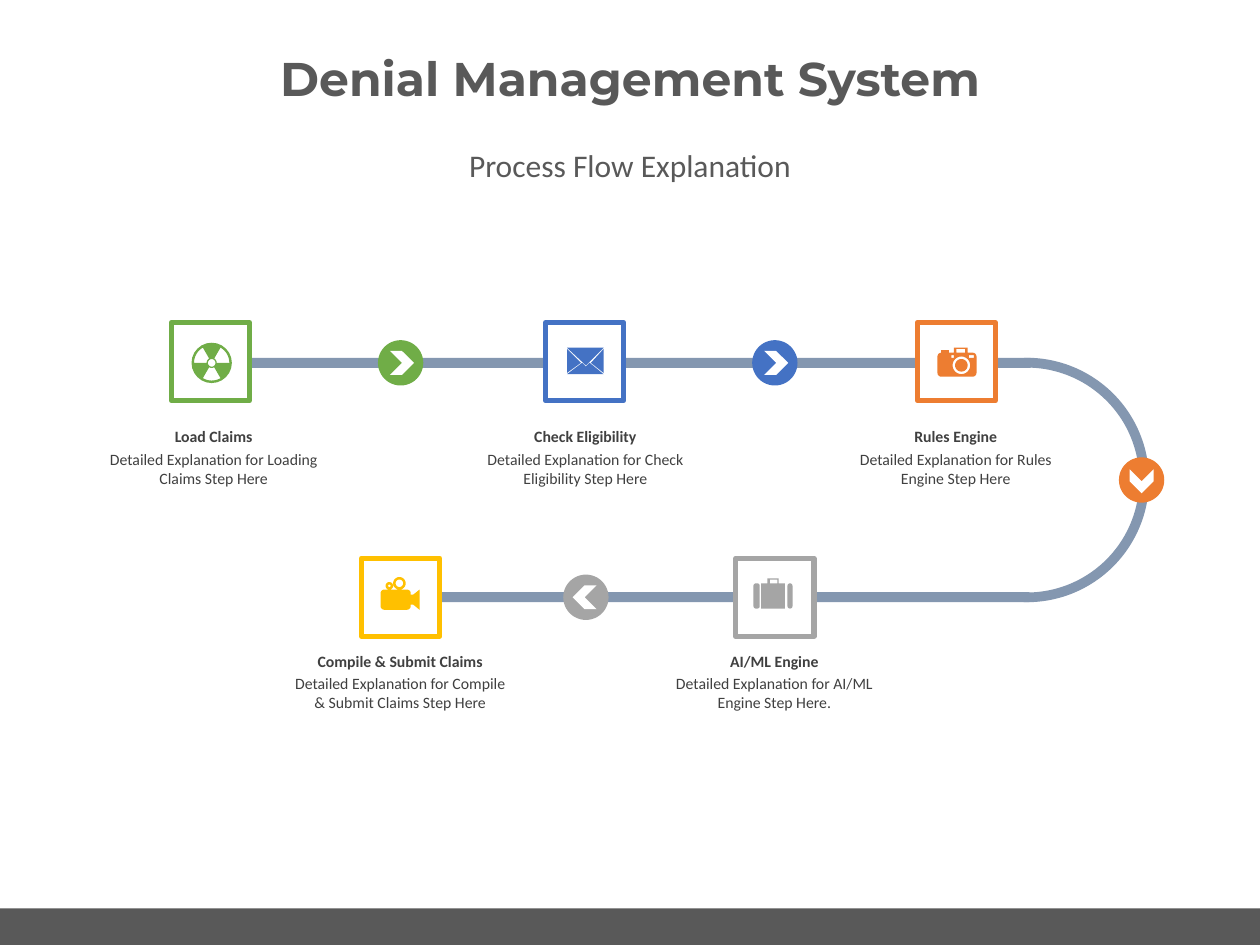
from math import cos, radians, sin

from pptx import Presentation
from pptx.dml.color import RGBColor
from pptx.enum import shapes, text
from pptx.util import Inches, Pt

WHITE = RGBColor(0xFF, 0xFF, 0xFF)
DARK = RGBColor(0x59, 0x59, 0x59)
INK = RGBColor(0x40, 0x40, 0x40)
TRACK = RGBColor(0x84, 0x97, 0xB0)
GREEN = RGBColor(0x70, 0xAD, 0x47)
BLUE = RGBColor(0x44, 0x72, 0xC4)
ORANGE = RGBColor(0xED, 0x7D, 0x31)
YELLOW = RGBColor(0xFF, 0xC0, 0x00)
GRAY = RGBColor(0xA5, 0xA5, 0xA5)
KIND = shapes.MSO_SHAPE


# Icon outlines, as lists of points in inches
def arc(cx, cy, r, start=0, end=360, steps=24):
    angles = [radians(start + (end - start) * i / steps) for i in range(steps + 1)]
    return [(cx + r * cos(a), cy + r * sin(a)) for a in angles]


def box(x, y, w, h, r=0):
    if not r:
        return [(x, y), (x + w, y), (x + w, y + h), (x, y + h)]
    corners = [(x + w - r, y + h - r), (x + r, y + h - r), (x + r, y + r), (x + w - r, y + r)]
    return [pt for i, (cx, cy) in enumerate(corners)
            for pt in arc(cx, cy, r, 90 * i, 90 * i + 90, 6)]


def sector(cx, cy, inner, outer, start):
    return arc(cx, cy, outer, start, start + 60) + arc(cx, cy, inner, start + 60, start)


class Slide:
    font = "Calibri"

    def __init__(self, prs):
        self.s = prs.slides.add_slide(prs.slide_layouts[2])

    def paint(self, sp, fill, line=None):
        sp.shadow.inherit = False
        sp.fill.solid()
        sp.fill.fore_color.rgb = fill
        if line is None:
            sp.line.fill.background()
        else:
            sp.line.color.rgb = line
            sp.line.width = Pt(3)

    def shape(self, kind, x, y, w, h, fill, line=None, rotation=0):
        sp = self.s.shapes.add_shape(kind, Inches(x), Inches(y), Inches(w), Inches(h))
        sp.rotation = rotation
        self.paint(sp, fill, line)
        return sp

    def put_text(self, sp, words, anchor=text.MSO_ANCHOR.TOP, color=INK, **fmt):
        tf = sp.text_frame
        for name, value in dict(word_wrap=True, auto_size=text.MSO_AUTO_SIZE.NONE,
                                vertical_anchor=anchor).items():
            setattr(tf, name, value)
        p = tf.paragraphs[0]
        p.alignment = text.PP_ALIGN.CENTER
        r = p.add_run()
        r.text = words
        for name, value in {"name": self.font, "bold": False, **fmt}.items():
            setattr(r.font, name, value)
        r.font.color.rgb = color
        return p

    def heading(self, idx, y, h, words, **fmt):
        sp = self.s.placeholders[idx]
        sp.left, sp.top, sp.width, sp.height = Inches(0), Inches(y), Inches(10), Inches(h)
        p = self.put_text(sp, words, text.MSO_ANCHOR.MIDDLE, DARK, **fmt)
        p.line_spacing = 0.9
        # The layout sets titles in capitals
        p.runs[0]._r.get_or_add_rPr().set("cap", "none")
        return p

    def label(self, x, y, h, words, **fmt):
        sp = self.s.shapes.add_textbox(Inches(x), Inches(y), Inches(1.95), Inches(h))
        self.put_text(sp, words, size=Pt(9), **fmt)

    def step(self, x, y, color, label_x, label_y, name, detail):
        self.shape(KIND.RECTANGLE, x, y, 0.62, 0.62, WHITE, color)
        self.label(label_x, label_y + 0.18, 0.4, detail)
        self.label(label_x, label_y, 0.25, name, bold=True)

    def badge(self, cx, cy, color, angle):
        self.shape(KIND.OVAL, cx - 0.18, cy - 0.18, 0.36, 0.36, color, rotation=angle)
        cx += 0.01 * cos(radians(angle))
        cy += 0.01 * sin(radians(angle))
        self.shape(KIND.CHEVRON, cx - 0.095, cy - 0.095, 0.19, 0.19, WHITE, rotation=angle)

    def icon(self, color, *outlines):
        outlines = [[(Inches(x), Inches(y)) for x, y in pts] for pts in outlines]
        builder = self.s.shapes.build_freeform(*outlines[0][0])
        for i, pts in enumerate(outlines):
            if i:
                builder.move_to(*pts[0])
            builder.add_line_segments(pts[1:], close=True)
        self.paint(builder.convert_to_shape(), color)


prs = Presentation()
prs.slide_width, prs.slide_height = Inches(10), Inches(7.5)
s = Slide(prs)

# Footer band and headings
s.shape(KIND.RECTANGLE, 0, 7.21, 10, 0.29, DARK)
s.heading(0, 0.22, 0.85, "Denial Management System", name="Montserrat", size=Pt(27), bold=True)
s.heading(1, 1.1, 0.46, "Process Flow Explanation", size=Pt(18)).space_before = Pt(7.5)

# Track
bend = s.shape(KIND.BLOCK_ARC, 7.18, 2.84, 1.94, 1.94, TRACK)
for i, value in enumerate((161.27, 54.9, 0.04)):
    bend.adjustments[i] = value
s.shape(KIND.RECTANGLE, 1.98, 2.84, 6.2, 0.08, TRACK)
s.shape(KIND.RECTANGLE, 3.48, 4.7, 4.69, 0.08, TRACK)

# Steps
TOP, BOTTOM = (2.56, 3.34), (4.43, 5.12)
for x, (y, label_y), color, label_x, name, detail in (
        (1.36, TOP, GREEN, 0.72, "Load Claims",
         "Detailed Explanation for Loading Claims Step Here"),
        (4.33, TOP, BLUE, 3.67, "Check Eligibility",
         "Detailed Explanation for Check Eligibility Step Here"),
        (7.28, TOP, ORANGE, 6.61, "Rules Engine",
         "Detailed Explanation for Rules Engine Step Here"),
        (2.87, BOTTOM, YELLOW, 2.2, "Compile & Submit Claims",
         "Detailed Explanation for Compile & Submit Claims Step Here"),
        (5.84, BOTTOM, GRAY, 5.17, "AI/ML Engine",
         "Detailed Explanation for AI/ML Engine Step Here.")):
    s.step(x, y, color, label_x, label_y, name, detail)

# Direction badges
for badge in ((3.18, 2.88, GREEN, 0), (6.15, 2.88, BLUE, 0),
              (4.65, 4.74, GRAY, 180), (9.06, 3.81, ORANGE, 90)):
    s.badge(*badge)

# Envelope
s.icon(BLUE,
       [(4.68, 2.88), (4.79, 2.97), (4.5, 2.97), (4.62, 2.88), (4.65, 2.91)],
       [(4.79, 2.77), (4.79, 2.96), (4.69, 2.88)],
       [(4.5, 2.77), (4.61, 2.88), (4.5, 2.96)],
       [(4.5, 2.76), (4.79, 2.76), (4.65, 2.9)])
# Radiation sign
s.icon(GREEN, arc(1.68, 2.88, 0.16), arc(1.68, 2.88, 0.03),
       *[sector(1.68, 2.88, 0.04, 0.14, start) for start in (60, 180, 300)])
# Camera
s.icon(ORANGE, box(7.44, 2.8, 0.31, 0.19, 0.03), box(7.47, 2.78, 0.06, 0.02),
       box(7.57, 2.76, 0.11, 0.04), box(7.59, 2.77, 0.07, 0.03),
       box(7.55, 2.82, 0.02, 0.02), box(7.69, 2.82, 0.04, 0.02),
       arc(7.63, 2.9, 0.07), arc(7.63, 2.9, 0.05))
# Film camera
s.icon(YELLOW, box(3.02, 4.68, 0.24, 0.16, 0.03),
       [(3.26, 4.72), (3.28, 4.72), (3.33, 4.68), (3.33, 4.84), (3.28, 4.8), (3.26, 4.8)],
       arc(3.17, 4.63, 0.05), arc(3.17, 4.63, 0.03),
       arc(3.09, 4.65, 0.03), arc(3.09, 4.65, 0.01))
# Suitcase
s.icon(GRAY, box(5.98, 4.63, 0.05, 0.2, 0.02), box(6.04, 4.63, 0.19, 0.2),
       box(6.25, 4.63, 0.04, 0.2, 0.02), box(6.09, 4.59, 0.09, 0.04),
       box(6.11, 4.6, 0.06, 0.03))

prs.save("out.pptx")
